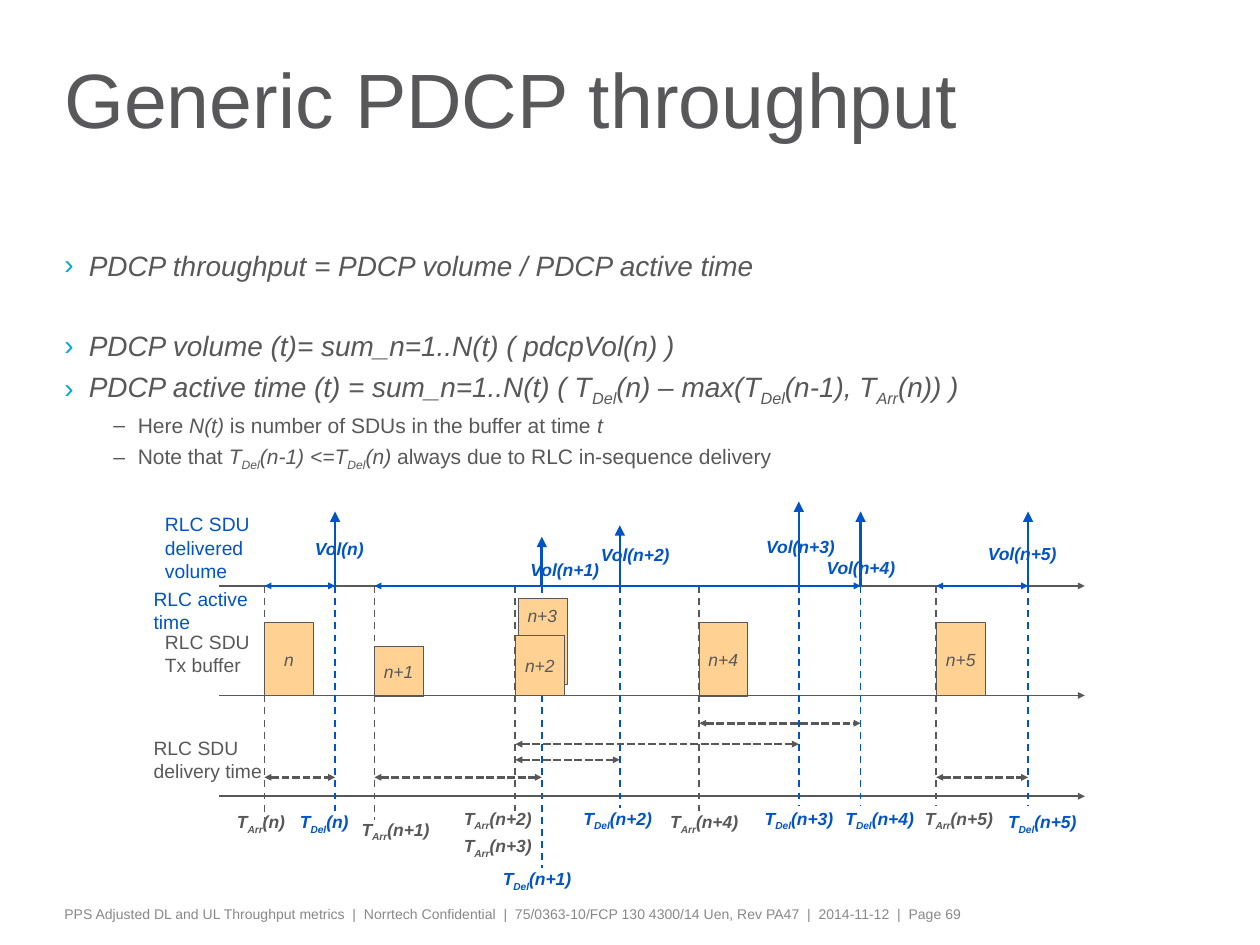
"""Build the slide that explains generic PDCP throughput."""
from dataclasses import dataclass

from lxml import etree
from pptx import Presentation
from pptx.dml.color import RGBColor
from pptx.enum.dml import MSO_LINE
from pptx.enum.shapes import MSO_CONNECTOR, MSO_SHAPE
from pptx.enum.text import MSO_ANCHOR, MSO_AUTO_SIZE, PP_ALIGN
from pptx.oxml.ns import qn
from pptx.util import Pt

DASH, SHORT_DASH = MSO_LINE.DASH, MSO_LINE.SQUARE_DOT
STRAIGHT, RECTANGLE = MSO_CONNECTOR.STRAIGHT, MSO_SHAPE.RECTANGLE
TOP, MIDDLE = MSO_ANCHOR.TOP, MSO_ANCHOR.MIDDLE
LEFT, CENTER = PP_ALIGN.LEFT, PP_ALIGN.CENTER
FIXED = MSO_AUTO_SIZE.NONE


@dataclass(frozen=True)
class Theme:
    """Colours, font and type sizes of the slide."""
    gray: str = "58585A"
    blue: str = "0054C6"
    cyan: str = "00A9D4"
    orange: str = "FFD193"
    footer_gray: str = "87888A"
    font: str = "Arial"
    title: int = 44
    body: int = 16
    detail: int = 12
    caption: int = 11
    label: int = 10
    footer: int = 8


THEME = Theme()
AXIS_LEFT, AXIS_RIGHT = 125.3, 619.9
VOLUME_Y, BUFFER_Y, DELIVERY_Y = 334.8, 397.4, 455
ARRIVAL = {"n": 151.2, "n+1": 214, "n+2": 294.5, "n+4": 399.6, "n+5": 535}
DELIVERY = {"n": 191.5, "n+1": 309.6, "n+2": 354.2, "n+3": 456.5,
            "n+4": 491.8, "n+5": 587.5}

BODY = [
    (0, 0, "*PDCP throughput = PDCP volume / PDCP active time*"),
    (0, 27, "*PDCP volume (t)= sum_n=1..N(t) ( pdcpVol(n) )*"),
    (0, 4, "*PDCP active time (t) = sum_n=1..N(t) "
           "( T{Del}(n) – max(T{Del}(n-1), T{Arr}(n)) )*"),
    (1, 3, "Here *N(t)* is number of SDUs in the buffer at time *t*"),
    (1, 3, "Note that *T{Del}(n-1) <=T{Del}(n)* always due to RLC "
           "in-sequence delivery"),
]
FOOTER = ("PPS Adjusted DL and UL Throughput metrics  |  Norrtech Confidential  |  "
          "75/0363-10/FCP 130 4300/14 Uen, Rev PA47  |  2014-11-12  |  Page 69")
CAPTIONS = [
    ("RLC SDU delivered volume", 94.3, 293, 55.5, 39.6, THEME.blue),
    ("RLC active time", 87.8, 335.5, 60.5, 26.6, THEME.blue),
    ("RLC SDU Tx buffer", 94.3, 360, 55.5, 26.6, THEME.gray),
    ("RLC SDU delivery time", 87.8, 420.5, 69, 26.6, THEME.gray),
]
PACKETS = [
    ("n+3", 295.9, 342, 28, 49, TOP),
    ("n+2", 294.5, 362.9, 28, 34.6, MIDDLE),
    ("n+1", 213.8, 369.4, 28, 28.5, MIDDLE),
    ("n", 151.2, 355.7, 28, 41.8, MIDDLE),
    ("n+4", 399.6, 355.7, 27.4, 42, MIDDLE),
    ("n+5", 535, 355.7, 28, 41.8, MIDDLE),
]
ARRIVAL_ENDS = {"n": 468, "n+1": 468.7, "n+2": 463.7, "n+4": 463.7, "n+5": 460.8}
DELIVERY_ENDS = {"n": 463.7, "n+2": 461.5, "n+3": 460.8, "n+4": 460.8, "n+5": 460.8}
ARRIVAL_LABELS = [("n", 135.4, 463.7), ("n+1", 206.6, 468), ("n+2", 265, 461.5),
                  ("n+3", 265, 477.4), ("n+4", 383, 463.7), ("n+5", 528.5, 461.5)]
DELIVERY_LABELS = [("n", 171.4, 463.7), ("n+1", 287.3, 496.1), ("n+2", 333.4, 461.5),
                   ("n+3", 437, 461.5), ("n+4", 483.1, 461.5), ("n+5", 576, 463.7)]
VOLUMES = [("n", 292.3, 180, 307.4), ("n+1", 306.7, 303.1, 319.7),
           ("n+2", 300.2, 343.4, 311), ("n+3", 286.6, 437.8, 306),
           ("n+4", 292.3, 472.3, 318.2), ("n+5", 292.3, 564.5, 310.3)]
DELIVERY_SPANS = [("n", "n", 444.2), ("n+1", "n+1", 444.2), ("n+2", "n+2", 434.2),
                  ("n+2", "n+3", 425.2), ("n+4", "n+4", 413.3), ("n+5", "n+5", 444.2)]
ACTIVE_SPANS = [("n", "n"), ("n+1", "n+4"), ("n+5", "n+5")]


def style_font(font, size, color, bold=False, italic=False):
    """Apply the theme font with the given look."""
    font.name, font.size = THEME.font, Pt(size)
    font.bold, font.italic = bold, italic
    font.color.rgb = RGBColor.from_string(color)


def write_markup(para, markup, size, color, bold=False):
    """Write text where *...* is italic and {...} is subscript."""
    for index, part in enumerate(markup.split("*")):
        for depth, text in enumerate(part.replace("}", "{").split("{")):
            if text:
                span = para.add_run()
                span.text = text
                style_font(span.font, size, color, bold, index % 2 == 1)
                if depth % 2:
                    span.font._element.set("baseline", "-25000")


def set_frame(frame, margin_x=0, margin_y=0, wrap=True, anchor=TOP):
    """Set margins, wrapping and anchoring of a text frame."""
    frame.auto_size, frame.word_wrap, frame.vertical_anchor = FIXED, wrap, anchor
    frame.margin_left = frame.margin_right = Pt(margin_x)
    frame.margin_top = frame.margin_bottom = Pt(margin_y)


def add_text(shapes, markup, left, top, width, height, size, color,
             bold=False, wrap=True, margins=(0, 0)):
    """Add a one-paragraph text box."""
    box = shapes.add_textbox(Pt(left), Pt(top), Pt(width), Pt(height))
    set_frame(box.text_frame, *margins, wrap=wrap)
    write_markup(box.text_frame.paragraphs[0], markup, size, color, bold)


def add_label(shapes, markup, name, left, top, color):
    """Add a bold italic label such as Vol(n) in the diagram."""
    width = 28 if name == "n" else 39.2
    add_text(shapes, f"*{markup}({name})*", left, top, width, 13, THEME.label, color,
             bold=True, wrap=False)


def add_line(shapes, start, end, color, width=1, dash=None, heads=(), head_size="sm"):
    """Add a line with optional dashes and triangle heads."""
    line = shapes.add_connector(STRAIGHT, *(Pt(value) for value in start + end))
    line.line.color.rgb = RGBColor.from_string(color)
    line.line.width = Pt(width)
    if dash:
        line.line.dash_style = dash
    for head in heads:
        etree.SubElement(line.line._get_or_add_ln(), qn(f"a:{head}"),
                         type="triangle", w=head_size, len=head_size)
    etree.SubElement(line._element.spPr, qn("a:effectLst"))


def add_span(shapes, start, end, y, color, dash=None):
    """Add a double-headed time span."""
    add_line(shapes, (start, y), (end, y), color, 1.5, dash, ("headEnd", "tailEnd"))


def add_packet(shapes, name, left, top, width, height, anchor):
    """Add one buffered SDU."""
    packet = shapes.add_shape(RECTANGLE, Pt(left), Pt(top), Pt(width), Pt(height))
    packet.shadow.inherit = False
    packet.fill.solid()
    packet.fill.fore_color.rgb = RGBColor.from_string(THEME.orange)
    packet.line.color.rgb = RGBColor.from_string(THEME.gray)
    packet.line.width = Pt(0.25)
    set_frame(packet.text_frame, 7.2, 3.6, False, anchor)
    para = packet.text_frame.paragraphs[0]
    para.alignment = CENTER
    write_markup(para, f"*{name}*", THEME.label, THEME.gray)


def add_title(slide):
    """Fill and place the title."""
    title = slide.shapes.title
    title.left, title.top, title.width, title.height = Pt(31), Pt(18.7), Pt(590.4), Pt(85.7)
    title.text_frame.text = "Generic PDCP throughput"
    set_frame(title.text_frame, 5.76, anchor=MIDDLE)
    para = title.text_frame.paragraphs[0]
    para.alignment, para.line_spacing = LEFT, 0.75
    style_font(para.runs[0].font, THEME.title, THEME.gray)


def add_body(slide):
    """Add the bulleted formulas."""
    box = slide.shapes.add_textbox(Pt(31), Pt(141.8), Pt(657.4), Pt(126.7))
    frame = box.text_frame
    set_frame(frame, 5.76)
    looks = [(14, "›", THEME.cyan, THEME.body), (42, "–", THEME.gray, THEME.detail)]
    for index, (level, space, markup) in enumerate(BODY):
        indent, bullet, bullet_color, size = looks[level]
        para = frame.add_paragraph() if index else frame.paragraphs[0]
        para.level, para.space_before = level, Pt(space)
        properties = para._p.get_or_add_pPr()
        properties.set("marL", str(Pt(indent)))
        properties.set("indent", str(Pt(-14)))
        color = etree.SubElement(properties, qn("a:buClr"))
        etree.SubElement(color, qn("a:srgbClr"), val=bullet_color)
        etree.SubElement(properties, qn("a:buFont"), typeface=THEME.font)
        etree.SubElement(properties, qn("a:buChar"), char=bullet)
        write_markup(para, markup, size, THEME.gray)


def add_diagram(slide):
    """Add the timing diagram as one group."""
    shapes = slide.shapes.add_group_shape().shapes
    first = DELIVERY["n+1"]
    add_line(shapes, (first, VOLUME_Y), (first, 496.1), THEME.blue, dash=DASH)
    for packet in PACKETS:
        add_packet(shapes, *packet)
    for y in (BUFFER_Y, VOLUME_Y, DELIVERY_Y):
        add_line(shapes, (AXIS_LEFT, y), (AXIS_RIGHT, y), THEME.gray, heads=["tailEnd"])
    for times, ends, labels, kind, color in (
            (ARRIVAL, ARRIVAL_ENDS, ARRIVAL_LABELS, "Arr", THEME.gray),
            (DELIVERY, DELIVERY_ENDS, DELIVERY_LABELS, "Del", THEME.blue)):
        for name, end in ends.items():
            add_line(shapes, (times[name], VOLUME_Y), (times[name], end), color, dash=DASH)
        for label in labels:
            add_label(shapes, f"T{{{kind}}}", *label, color)
    for start, end, y in DELIVERY_SPANS:
        add_span(shapes, ARRIVAL[start], DELIVERY[end], y, THEME.gray, SHORT_DASH)
    for name, tip, left, top in VOLUMES:
        x = DELIVERY[name]
        add_line(shapes, (x, VOLUME_Y), (x, tip), THEME.blue, 1.5,
                 heads=["tailEnd"], head_size="med")
        add_label(shapes, "Vol", name, left, top, THEME.blue)
    for start, end in ACTIVE_SPANS:
        add_span(shapes, ARRIVAL[start], DELIVERY[end], VOLUME_Y, THEME.blue)
    for text, left, top, width, height, color in CAPTIONS:
        add_text(shapes, text, left, top, width, height, THEME.caption, color)


def main():
    """Build and save the deck."""
    deck = Presentation()
    deck.slide_width, deck.slide_height = Pt(720), Pt(540)
    slide = deck.slides.add_slide(deck.slide_layouts[5])
    add_title(slide)
    add_body(slide)
    add_diagram(slide)
    add_text(slide.shapes, FOOTER, 31, 514, 582.5, 17.3, THEME.footer,
             THEME.footer_gray, margins=(5.76, 3.6))
    deck.save("out.pptx")


if __name__ == "__main__":
    main()
